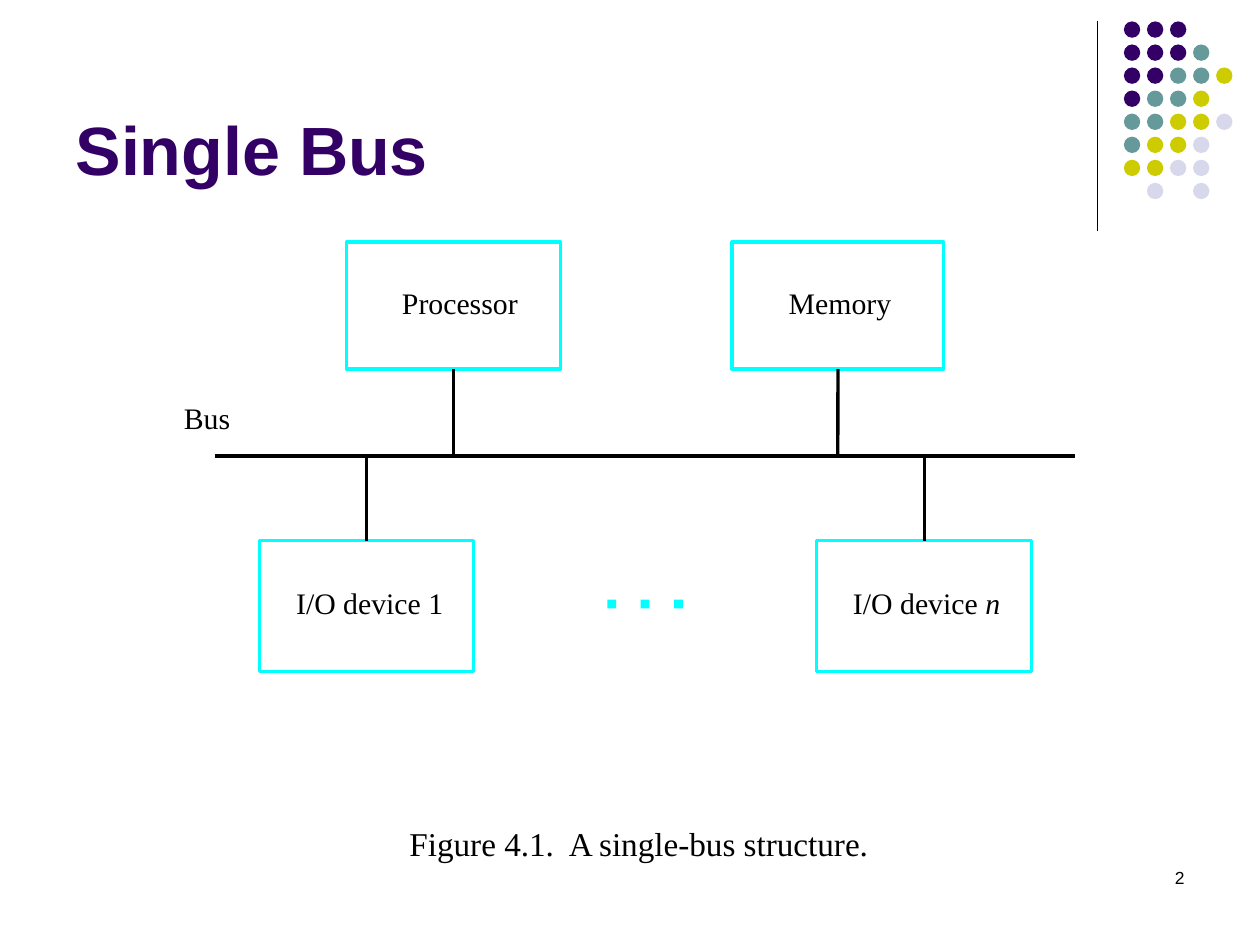
from dataclasses import dataclass
from lxml import etree
from pptx import Presentation
from pptx import util as u
from pptx.dml.color import RGBColor
from pptx.enum import shapes, text
from pptx.oxml import ns


@dataclass(frozen=True)
class Theme:
    ink: str = "000000"
    plum: str = "330066"
    teal: str = "669999"
    lime: str = "CCCC00"
    mist: str = "D8D8EC"
    cyan: str = "00FFFF"
    sans: str = "Arial"
    serif: str = "Times New Roman"
    head: int = 39
    label: int = 17
    note: int = 19
    page: int = 10
    thin: float = 0.75
    bold: float = 1.87


theme = Theme()
prs = Presentation()
prs.slide_width, prs.slide_height = u.Inches(10), u.Inches(7.5)
slide = prs.slides.add_slide(prs.slide_layouts[5])
parts = slide.shapes


def write(box, runs, size, face, color=theme.ink, **extra):
    para = box.text_frame.paragraphs[0]
    for words, slant in runs:
        run = para.add_run()
        run.text = words
        look = {"size": u.Pt(size), "name": face, "italic": slant, **extra}
        for key, val in look.items():
            setattr(run.font, key, val)
        run.font.color.rgb = RGBColor.from_string(color)
    return para


def link(x1, y1, x2, y2, width):
    ends = [u.Inches(v) for v in (x1, y1, x2, y2)]
    wire = parts.add_connector(shapes.MSO_CONNECTOR.STRAIGHT, *ends)
    wire.line.width = u.Pt(width)
    wire.line.color.rgb = RGBColor.from_string(theme.ink)
    etree.SubElement(wire._element.spPr, ns.qn("a:effectLst"))
    return wire


link(8.71, 0.17, 8.71, 1.83, theme.thin)
tints = {"p": theme.plum, "t": theme.teal, "l": theme.lime, "m": theme.mist}
grid = ["ppp", "pppt", "ppttl", "pttl", "ttllm", "tllm", "llmm", " m m"]
for row, line in enumerate(grid):
    for col, key in enumerate(line):
        if key in tints:
            spot = [u.Inches(v) for v in (8.92 + col * 0.183, 0.17 + row * 0.183, 0.13, 0.13)]
            dot = parts.add_shape(shapes.MSO_SHAPE.OVAL, *spot)
            dot.shadow.inherit = False
            dot.fill.solid()
            dot.fill.fore_color.rgb = RGBColor.from_string(tints[key])
            dot.line.fill.background()

title = parts.title
place = {"left": 0.5, "top": 0.13, "width": 8.25, "height": 1.42}
for key, val in place.items():
    setattr(title, key, u.Inches(val))
frame = {"vertical_anchor": text.MSO_ANCHOR.BOTTOM, "auto_size": text.MSO_AUTO_SIZE.NONE}
for key, val in frame.items():
    setattr(title.text_frame, key, val)
para = write(title, [("Single Bus", False)], theme.head, theme.sans, theme.plum, bold=True)
para.alignment = text.PP_ALIGN.LEFT

bus = 3.62
link(1.71, bus, 8.53, bus, theme.bold)
blocks = [
    (2.75, 1.92, 1.7, 1.01, 2),
    (5.81, 1.92, 1.68, 1.01, 2),
    (2.06, 4.29, 1.7, 1.04, 0),
    (6.48, 4.29, 1.71, 1.04, 0),
]
for left, top, wide, high, side in blocks:
    spot = [u.Inches(v) for v in (left, top, wide, high)]
    block = parts.add_shape(shapes.MSO_SHAPE.RECTANGLE, *spot)
    block.shadow.inherit = False
    block.fill.background()
    block.line.width = u.Pt(theme.bold)
    block.line.color.rgb = RGBColor.from_string(theme.cyan)
    mid = left + wide / 2
    link(mid, top, mid, bus, theme.bold).begin_connect(block, side)

for step in range(3):
    spot = [u.Inches(v) for v in (4.82 + step * 0.265, 4.76, 0.07, 0.07)]
    dot = parts.add_shape(shapes.MSO_SHAPE.RECTANGLE, *spot)
    dot.shadow.inherit = False
    dot.fill.solid()
    dot.fill.fore_color.rgb = RGBColor.from_string(theme.cyan)
    dot.line.fill.background()

labels = [
    (3.19, 2.26, 0.92, 0.28, [("Processor", False)], theme.label),
    (6.26, 2.26, 0.82, 0.28, [("Memory", False)], theme.label),
    (2.35, 4.64, 1.18, 0.28, [("I/O device 1", False)], theme.label),
    (6.77, 4.64, 1.17, 0.28, [("I/O device ", False), ("n", True)], theme.label),
    (1.46, 3.17, 0.37, 0.28, [("Bus", False)], theme.label),
    (3.25, 6.53, 3.67, 0.32, [("Figure 4.1.  A single-bus structure.", False)], theme.note),
]
bare = {"margin_left": 0, "margin_top": 0, "margin_right": 0, "margin_bottom": 0, "word_wrap": False}
for *spot, runs, size in labels:
    box = parts.add_textbox(*[u.Inches(v) for v in spot])
    for key, val in bare.items():
        setattr(box.text_frame, key, val)
    write(box, runs, size, theme.serif)

page = parts.add_textbox(*[u.Inches(v) for v in (7.17, 6.83, 2.33, 0.5)])
page.text_frame.word_wrap = True
para = write(page, [("2", False)], theme.page, theme.sans)
para.alignment = text.PP_ALIGN.RIGHT

prs.save("out.pptx")
